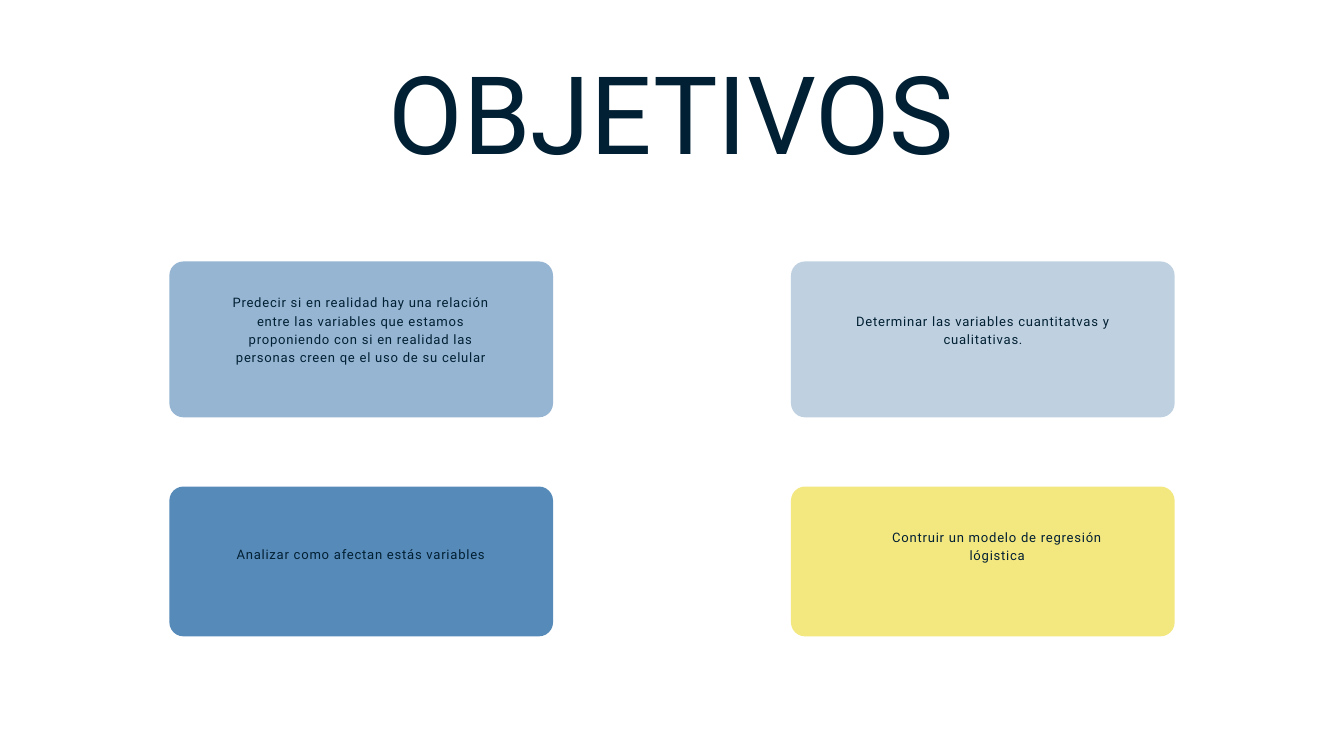
from pptx import Presentation
from pptx.dml.color import RGBColor
from pptx.enum.shapes import MSO_SHAPE as Shape
from pptx.enum.text import MSO_AUTO_SIZE as Fit, PP_ALIGN as Align
from pptx.util import Inches, Pt

NAVY = RGBColor(0x02, 0x20, 0x33)
SKY = RGBColor(0x96, 0xB5, 0xD3)
MIST = RGBColor(0xBF, 0xD1, 0xE1)
BLUE = RGBColor(0x56, 0x8A, 0xB9)
YELLOW = RGBColor(0xF3, 0xE7, 0x80)

LEFT, RIGHT = 2.52, 11.77
TOP, LOW = (3.89, 2.32), (7.24, 2.23)  # top and height of each row
WIDTH, RADIUS = 5.71, 0.21

# column, row, fill, text box, text
GOALS = [
    (LEFT, TOP, SKY, (3.25, 4.35, 4.24, 1.09),
     "Predecir si en realidad hay una relación entre las variables que "
     "estamos proponiendo con si en realidad las personas creen qe el uso "
     "de su celular"),
    (RIGHT, TOP, MIST, (12.51, 4.62, 4.24, 0.54),
     "Determinar las variables cuantitatvas y cualitativas."),
    (LEFT, LOW, BLUE, (3.4, 8.09, 3.94, 0.27),
     "Analizar como afectan estás variables"),
    (RIGHT, LOW, YELLOW, (12.94, 7.84, 3.8, 0.54),
     "Contruir un modelo de regresión lógistica"),
]


class Painter:
    font = "Roboto"
    color = NAVY

    def __init__(self, slide):
        self.shapes = slide.shapes

    def card(self, left, top, width, height, fill):
        box = self.shapes.add_shape(
            Shape.ROUNDED_RECTANGLE, *map(Inches, (left, top, width, height)))
        box.adjustments[0] = RADIUS / min(width, height)
        box.fill.solid()
        box.fill.fore_color.rgb = fill
        box.line.fill.background()
        box.shadow.inherit = False

    def text(self, place, words, size, line, gap=0):
        """Add centred text; gap is the letter spacing in points."""
        frame = self.shapes.add_textbox(*map(Inches, place)).text_frame
        frame.margin_left = frame.margin_right = 0
        frame.margin_top = frame.margin_bottom = 0
        frame.word_wrap = True
        frame.auto_size = Fit.SHAPE_TO_FIT_TEXT
        frame.text = words
        para = frame.paragraphs[0]
        para.alignment = Align.CENTER
        para.line_spacing = Pt(line)
        font = para.runs[0].font
        font.name = self.font
        font.size = Pt(size)
        font.color.rgb = self.color
        if gap:
            para.runs[0]._r.get_or_add_rPr().set("spc", str(round(gap * 100)))


def main():
    deck = Presentation()
    deck.slide_width, deck.slide_height = Inches(20), Inches(11.25)
    paint = Painter(deck.slides.add_slide(deck.slide_layouts[6]))

    for left, (top, height), fill, _, _ in GOALS:
        paint.card(left, top, WIDTH, height, fill)
    paint.text((1.87, 1.14, 16.26, 1.59), "OBJETIVOS", 116.1, 106.8)
    for _, _, _, place, words in GOALS:
        paint.text(place, words, 14, 19.6, gap=0.8)

    deck.save("out.pptx")


if __name__ == "__main__":
    main()
